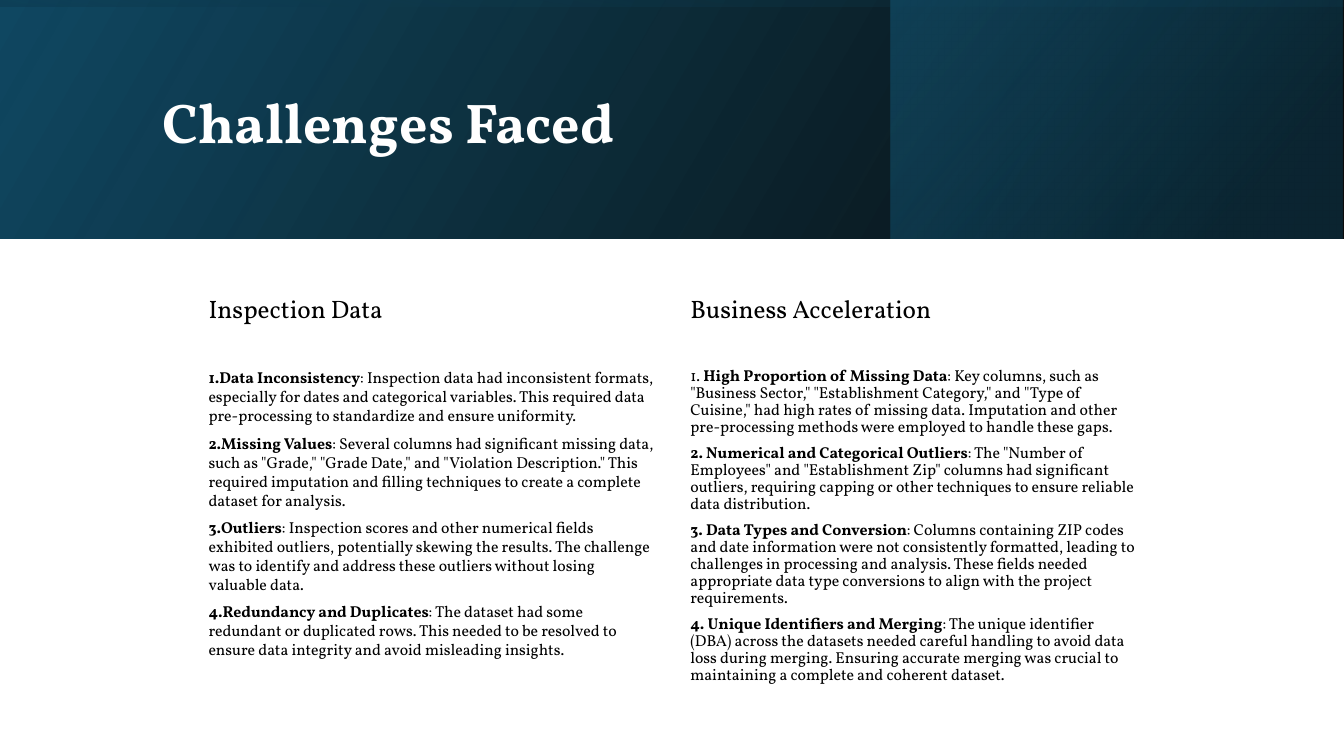
from dataclasses import dataclass

from lxml.etree import SubElement
from pptx import Presentation
from pptx.dml.color import RGBColor
from pptx.enum.shapes import MSO_SHAPE
from pptx.enum.text import MSO_ANCHOR, MSO_AUTO_SIZE, PP_ALIGN
from pptx.oxml.ns import qn
from pptx.util import Inches, Pt


@dataclass(frozen=True)
class Theme:
    font: str = "Vollkorn"
    paper: str = "FFFFFF"
    ink: str = "000000"
    navy: str = "104862"
    deep: str = "0B3041"
    teal: str = "156082"
    title: float = 40
    heading: float = 18
    body: float = 11.3
    after: float = 6


def add_run(p, text, *, font, size, color, bold=False):
    r = p.add_run()
    r.text = text
    r.font.name = font
    r.font.size = Pt(size)
    r.font.bold = bold
    r.font.color.rgb = RGBColor.from_string(color)


class Deck:
    def __init__(self, theme):
        self.theme = theme
        self.prs = Presentation()
        self.prs.slide_width = Inches(13.33)
        self.prs.slide_height = Inches(7.5)
        self.slide = self.prs.slides.add_slide(self.prs.slide_layouts[5])
        self.slide.background.fill.solid()
        self.slide.background.fill.fore_color.rgb = RGBColor.from_string(theme.paper)

    def box(self, left, top, width, height):
        w, h = self.prs.slide_width, self.prs.slide_height
        return [int(share * side / 100) for share, side in
                ((left, w), (top, h), (width, w), (height, h))]

    def gradient_band(self, area, stops, angle, turned=False):
        x, y, w, h = self.box(*area)
        if turned:
            x, y, w, h = x + (w - h) // 2, y + (h - w) // 2, h, w
        s = self.slide.shapes.add_shape(MSO_SHAPE.RECTANGLE, x, y, w, h)
        s.rotation = 270 if turned else 0
        s.shadow.inherit = False
        s.line.fill.background()
        s.fill.background()
        spPr = s._element.spPr
        spPr.find(qn("a:xfrm")).set("flipH", "1")
        grad = SubElement(spPr, qn("a:gradFill"))
        spPr.replace(spPr.find(qn("a:noFill")), grad)
        gs_list = SubElement(grad, qn("a:gsLst"))
        for pos, color, opacity in stops:
            gs = SubElement(gs_list, qn("a:gs"), pos=str(pos * 1000))
            clr = SubElement(gs, qn("a:srgbClr"), val=color)
            SubElement(clr, qn("a:alpha"), val=str(opacity * 1000))
        SubElement(grad, qn("a:lin"), ang=str(angle * 60000), scaled="0")

    def title(self, text, area):
        s = self.slide.shapes.title
        s.left, s.top, s.width, s.height = self.box(*area)
        tf = s.text_frame
        tf.word_wrap = True
        tf.auto_size = MSO_AUTO_SIZE.NONE
        tf.vertical_anchor = MSO_ANCHOR.MIDDLE
        p = tf.paragraphs[0]
        p.alignment = PP_ALIGN.LEFT
        p.line_spacing = 0.9
        add_run(p, text, font=self.theme.font, size=self.theme.title,
                color=self.theme.paper, bold=True)
        self.slide.shapes._spTree.append(s._element)

    def text(self, paragraphs, area, size, spacing=1.0, numbered=False):
        tf = self.slide.shapes.add_textbox(*self.box(*area)).text_frame
        tf.word_wrap = True
        for i, runs in enumerate(paragraphs):
            p = tf.paragraphs[0] if i == 0 else tf.add_paragraph()
            p.line_spacing = spacing
            p.space_after = Pt(self.theme.after)
            if numbered:
                pPr = p._p.get_or_add_pPr()
                pPr.set("marL", "0")
                pPr.set("indent", "0")
                SubElement(pPr, qn("a:buFont"), typeface=self.theme.font)
                SubElement(pPr, qn("a:buAutoNum"), type="arabicPeriod")
            for text, bold in runs:
                add_run(p, text, font=self.theme.font, size=size,
                        color=self.theme.ink, bold=bold)

    def column(self, heading, points, left, width, spacing, numbered):
        self.text([[(heading, False)]], (left, 38.13, width, 9.87), self.theme.heading)
        self.text(points, (left, 48, width, 44), self.theme.body, spacing, numbered)


INSPECTION = [
    [("Data Inconsistency", True),
     (": Inspection data had inconsistent formats, especially for dates and categorical "
      "variables. This required data pre-processing to standardize and ensure uniformity.", False)],
    [("Missing Values", True),
     (': Several columns had significant missing data, such as "Grade," "Grade Date," and '
      '"Violation Description." This required imputation and filling techniques to create a '
      "complete dataset for analysis.", False)],
    [("Outliers", True),
     (": Inspection scores and other numerical fields exhibited outliers, potentially skewing "
      "the results. The challenge was to identify and address these outliers without losing "
      "valuable data.", False)],
    [("Redundancy and Duplicates", True),
     (": The dataset had some redundant or duplicated rows. This needed to be resolved to "
      "ensure data integrity and avoid misleading insights.", False)],
]

BUSINESS = [
    [("1. ", False), ("High Proportion of Missing Data", True),
     (': Key columns, such as "Business Sector," "Establishment Category," and "Type of '
      'Cuisine," had high rates of missing data. Imputation and other pre-processing methods '
      "were employed to handle these gaps.", False)],
    [("2. Numerical and Categorical Outliers", True),
     (': The "Number of Employees" and "Establishment Zip" columns had significant outliers, '
      "requiring capping or other techniques to ensure reliable data distribution.", False)],
    [("3. Data Types and Conversion", True),
     (": Columns containing ZIP codes and date information were not consistently formatted, "
      "leading to challenges in processing and analysis. These fields needed appropriate data "
      "type conversions to align with the project requirements.", False)],
    [("4. Unique Identifiers and Merging", True),
     (": The unique identifier (DBA) across the datasets needed careful handling to avoid data "
      "loss during merging. Ensuring accurate merging was crucial to maintaining a complete "
      "and coherent dataset.", False)],
]


def main():
    theme = Theme()
    deck = Deck(theme)
    header = (0, 0, 100, 31.6)
    deck.gradient_band(header, [(0, theme.ink, 96), (100, theme.navy, 100)], 330)
    deck.gradient_band((66.3, 0, 33.6, 31.6),
                       [(19, theme.deep, 68), (100, theme.teal, 48)], 320)
    deck.gradient_band(header, [(23, theme.navy, 16), (99, theme.ink, 45)], 350, turned=True)
    deck.title("Challenges Faced", (11.33, 5.07, 79.73, 22.93))
    deck.column("Inspection Data", INSPECTION, 14.78, 34.65, 1.0, True)
    deck.column("Business Acceleration", BUSINESS, 50.63, 34.8, 0.9, False)
    deck.prs.save("out.pptx")


if __name__ == "__main__":
    main()
